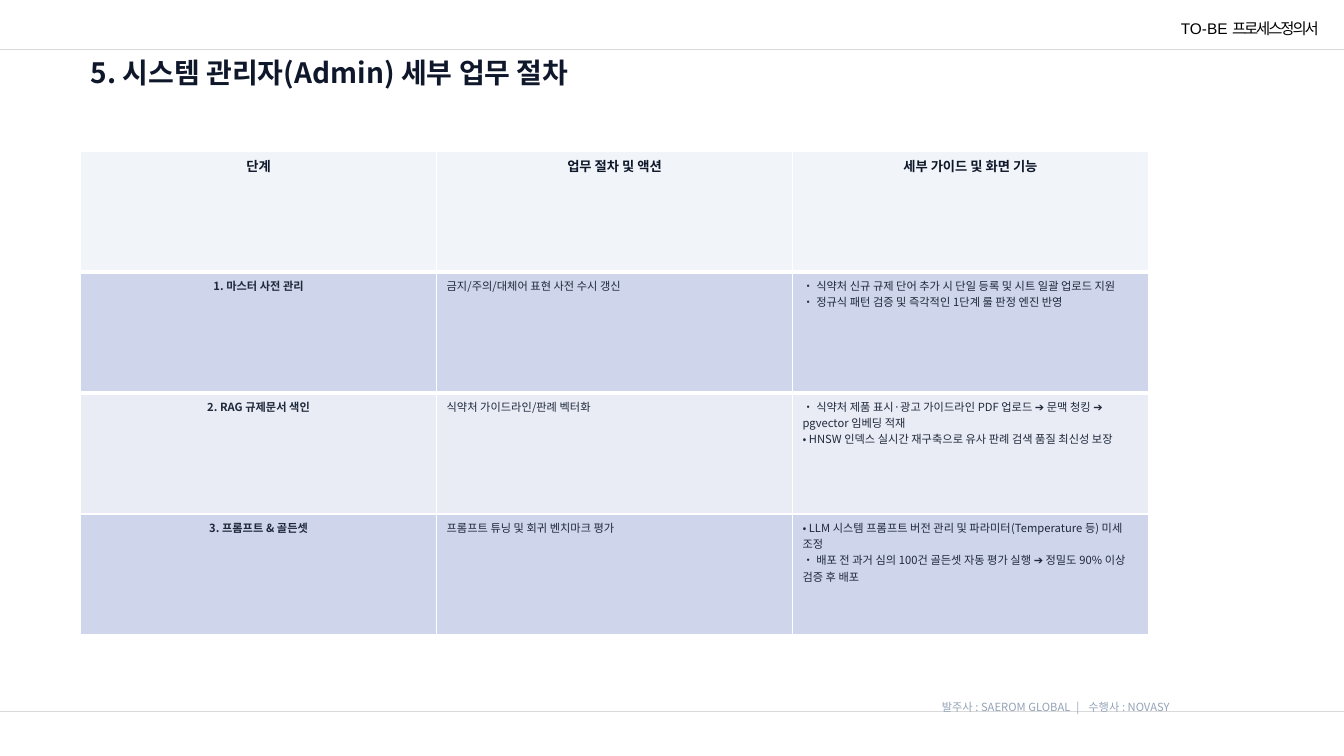
from lxml import etree
from pptx import Presentation
from pptx.dml.color import RGBColor
from pptx.enum.shapes import MSO_CONNECTOR
from pptx.enum.text import MSO_AUTO_SIZE, PP_ALIGN
from pptx.oxml.ns import qn
from pptx.util import Pt

EMU_PER_PX = 9144
SLIDE_WIDTH, SLIDE_HEIGHT = 1333, 750
LEFT, CENTER, RIGHT = PP_ALIGN.LEFT, PP_ALIGN.CENTER, PP_ALIGN.RIGHT
STRAIGHT = MSO_CONNECTOR.STRAIGHT
GROW = MSO_AUTO_SIZE.SHAPE_TO_FIT_TEXT

KOREAN_FONT = "Noto Sans CJK KR"
HEADER_FONT = "Arial"
INK, BODY, MUTED, BLACK, WHITE = "0F172A", "1E293B", "94A3B8", "000000", "FFFFFF"
RULE = "D9D9D9"
HEADER_FILL, BAND_FILLS = "F1F5F9", ("CFD5EA", "E9EBF5")

COLUMN_WIDTH, ROW_HEIGHT = 353, 120
HEADINGS = ("단계", "업무 절차 및 액션", "세부 가이드 및 화면 기능")
STEPS = (
    ("1. 마스터 사전 관리",
     "금지/주의/대체어 표현 사전 수시 갱신",
     ("• 식약처 신규 규제 단어 추가 시 단일 등록 및 시트 일괄 업로드 지원",
      "• 정규식 패턴 검증 및 즉각적인 1단계 룰 판정 엔진 반영")),
    ("2. RAG 규제문서 색인",
     "식약처 가이드라인/판례 벡터화",
     ("• 식약처 제품 표시·광고 가이드라인 PDF 업로드 ➔ 문맥 청킹 ➔ pgvector 임베딩 적재",
      "• HNSW 인덱스 실시간 재구축으로 유사 판례 검색 품질 최신성 보장")),
    ("3. 프롬프트 & 골든셋",
     "프롬프트 튜닝 및 회귀 벤치마크 평가",
     ("• LLM 시스템 프롬프트 버전 관리 및 파라미터(Temperature 등) 미세 조정",
      "• 배포 전 과거 심의 100건 골든셋 자동 평가 실행 ➔ 정밀도 90% 이상 검증 후 배포")),
)


def px(length):
    return length * EMU_PER_PX


def color(hex_value):
    return RGBColor.from_string(hex_value)


def style_paragraph(paragraph, size, hex_value, align=LEFT, bold=False, font=KOREAN_FONT):
    paragraph.alignment = align
    paragraph.font.size = Pt(size)
    paragraph.font.bold = bold
    paragraph.font.color.rgb = color(hex_value)
    paragraph.font.name = font


def add_text(slide, left, top, width, height, runs, size, hex_value, **style):
    """Add one line of text; runs are (text, letter spacing in points) pairs."""
    box = slide.shapes.add_textbox(px(left), px(top), px(width), px(height))
    frame = box.text_frame
    frame.word_wrap = False
    frame.auto_size = GROW
    paragraph = frame.paragraphs[0]
    for text, spacing in runs:
        run = paragraph.add_run()
        run.text = text
        if spacing:
            run._r.get_or_add_rPr().set("spc", str(int(spacing * 100)))
    style_paragraph(paragraph, size, hex_value, **style)


def add_rule(slide, top):
    line = slide.shapes.add_connector(STRAIGHT, 0, px(top), px(SLIDE_WIDTH), px(top))
    line.line.color.rgb = color(RULE)
    line.line.width = Pt(0.5)
    etree.SubElement(line._element.spPr, qn("a:effectLst"))


def set_border(cell, side, width, hex_value):
    """Draw one side of a cell: side is a:lnL, a:lnR, a:lnT or a:lnB."""
    border = etree.Element(qn(side), w=str(Pt(width)))
    fill = etree.SubElement(border, qn("a:solidFill"))
    etree.SubElement(fill, qn("a:srgbClr"), val=hex_value)
    cell._tc.get_or_add_tcPr().insert(0, border)


def fill_cell(cell, lines, fill, size, hex_value, align=LEFT, bold=False):
    cell.fill.solid()
    cell.fill.fore_color.rgb = color(fill)
    cell.text = "\n".join(lines)
    for paragraph in cell.text_frame.paragraphs:
        style_paragraph(paragraph, size, hex_value, align, bold)


def add_steps_table(slide, left, top):
    row_count, column_count = len(STEPS) + 1, len(HEADINGS)
    frame = slide.shapes.add_table(
        row_count, column_count, px(left), px(top),
        px(COLUMN_WIDTH * column_count), px(ROW_HEIGHT * row_count))
    table = frame.table
    table.horz_banding = False
    for column, heading in enumerate(HEADINGS):
        cell = table.cell(0, column)
        fill_cell(cell, [heading], HEADER_FILL, 9.5, INK, CENTER, True)
        set_border(cell, "a:lnB", 3, WHITE)
        set_border(table.cell(1, column), "a:lnT", 3, WHITE)
    for row, (stage, action, guides) in enumerate(STEPS, start=1):
        fill = BAND_FILLS[(row - 1) % 2]
        fill_cell(table.cell(row, 0), [stage], fill, 8, BODY, CENTER, True)
        fill_cell(table.cell(row, 1), [action], fill, 8, BODY)
        fill_cell(table.cell(row, 2), guides, fill, 8, BODY)


def main():
    presentation = Presentation()
    presentation.slide_width = px(SLIDE_WIDTH)
    presentation.slide_height = px(SLIDE_HEIGHT)
    slide = presentation.slides.add_slide(presentation.slide_layouts[6])

    add_text(slide, 1156, 14, 162, 29, [("TO-BE ", 0), ("프로세스정의서", -1.5)],
             11, BLACK, align=RIGHT, font=HEADER_FONT)
    for top in (49, 706):
        add_rule(slide, top)
    add_text(slide, 80, 50, 1050, 80, [("5. 시스템 관리자(Admin) 세부 업무 절차", 0)],
             20, INK, bold=True)
    add_text(slide, 850, 690, 320, 40,
             [("발주사 : SAEROM GLOBAL", 0), (" | ", 2.3), ("수행사 : NOVASY", 0)],
             8, MUTED, align=RIGHT)
    add_steps_table(slide, 80, 150)

    presentation.save("out.pptx")


if __name__ == "__main__":
    main()
